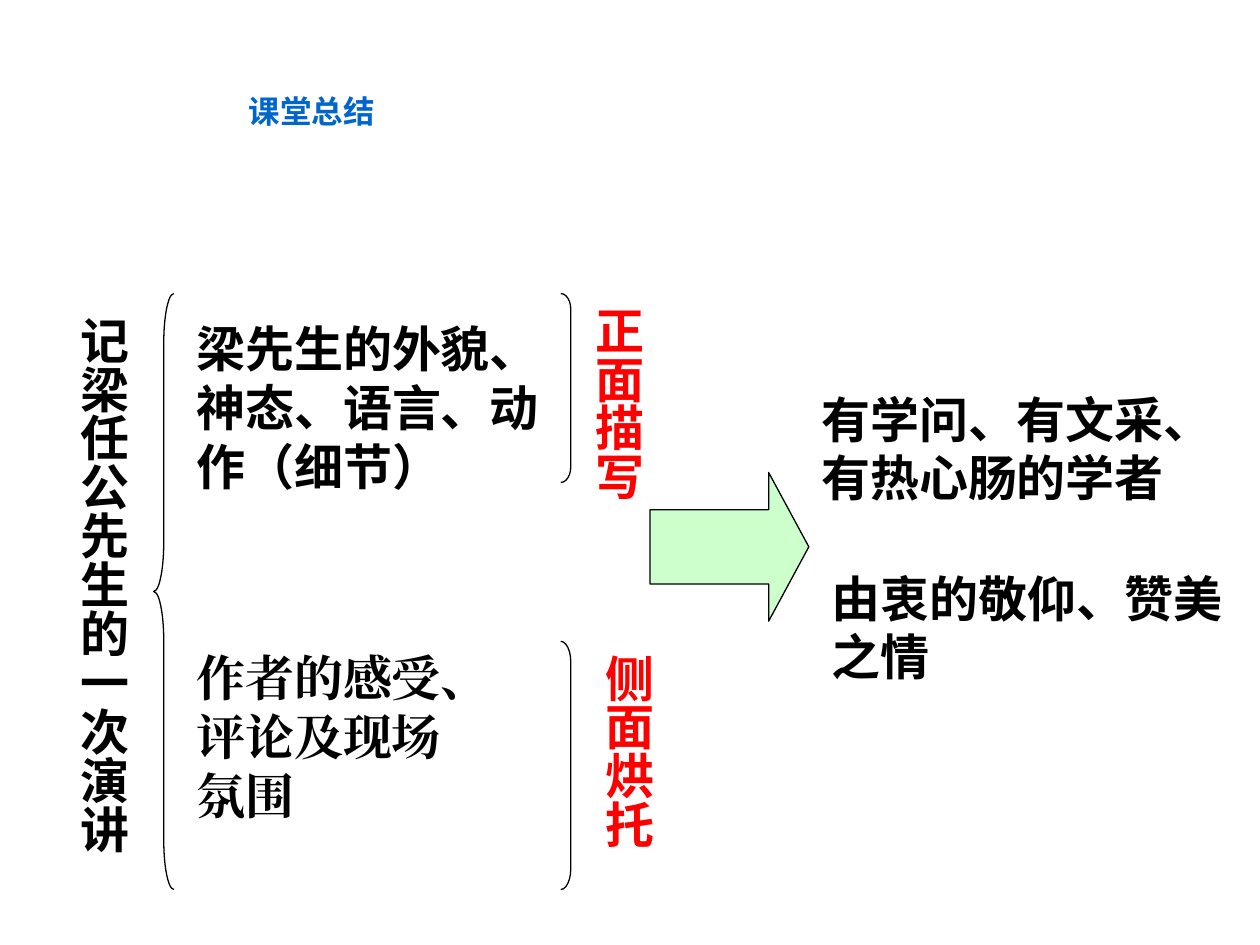
from dataclasses import dataclass

from lxml import etree
from pptx import Presentation
from pptx.dml.color import RGBColor
from pptx.enum.shapes import MSO_SHAPE
from pptx.enum.text import MSO_ANCHOR, MSO_AUTO_SIZE, PP_ALIGN
from pptx.oxml.ns import qn
from pptx.util import Inches, Pt

LEFT_BRACE = MSO_SHAPE.LEFT_BRACE
RIGHT_BRACKET = MSO_SHAPE.RIGHT_BRACKET
RIGHT_ARROW = MSO_SHAPE.RIGHT_ARROW
TOP = MSO_ANCHOR.TOP
NO_FIT = MSO_AUTO_SIZE.NONE
LEFT, CENTER = PP_ALIGN.LEFT, PP_ALIGN.CENTER


@dataclass(frozen=True)
class Theme:
    ink: str = "000000"
    title: str = "0066CC"
    accent: str = "FF0000"
    arrow: str = "CCFFCC"
    title_font: str = "Noto Sans CJK SC"
    body_font: str = "Arial"
    serif_font: str = "Times New Roman"
    title_size: int = 18
    body_size: int = 28
    line_pitch: float = 1.2
    line_width: float = 0.75


THEME = Theme()
WIDTH, HEIGHT = 10, 7.5
UPPER, LOWER, BOTTOM = 2.33, 5.09, 7.06
DETAIL_LEFT, BRACKET_LEFT = 1.46, 4.45
COLUMN_WIDTH, LABEL_HEIGHT = 0.66, 1.89
ARROW_BOX = (5.16, 3.75, 1.26, 1.18)

TITLE = ("课堂总结", (0.35, 0.68, 4.25, 1.04))
TOPIC = ("记梁任公先生的一次演讲", (0.44, 2.41, COLUMN_WIDTH, 4.57))
DETAILS = [
    ("梁先生的外貌、神态、语言、动作（细节）", (DETAIL_LEFT, 2.48, 2.99, 1.5), THEME.body_font),
    ("作者的感受、评论及现场氛围", (DETAIL_LEFT, LOWER, 2.5, 1.5), THEME.serif_font),
]
METHODS = [
    ("正面描写", (4.53, UPPER, COLUMN_WIDTH, LABEL_HEIGHT)),
    ("侧面烘托", (4.61, LOWER, COLUMN_WIDTH, LABEL_HEIGHT)),
]
CONCLUSIONS = [
    ("有学问、有文采、有热心肠的学者", (6.42, 3.04, 3.07, 1.04)),
    ("由衷的敬仰、赞美之情", (6.5, 4.46, 3.32, 1.04)),
]
CURVES = [
    (LEFT_BRACE, (1.22, UPPER, 0.16, BOTTOM - UPPER)),
    (RIGHT_BRACKET, (BRACKET_LEFT, UPPER, 0.08, 1.5)),
    (RIGHT_BRACKET, (BRACKET_LEFT, LOWER, 0.08, BOTTOM - LOWER)),
]


def place(shape, box):
    shape.left, shape.top, shape.width, shape.height = map(Inches, box)


def write(shape, text, *, font=THEME.body_font, size=THEME.body_size, color=THEME.ink,
          align=LEFT, wrap=True, vertical=False):
    frame = shape.text_frame
    frame.auto_size = NO_FIT
    frame.word_wrap = wrap
    frame.vertical_anchor = TOP
    side, edge = (0.05, 0.1) if vertical else (0.1, 0.05)
    frame.margin_left = frame.margin_right = Inches(side)
    frame.margin_top = frame.margin_bottom = Inches(edge)
    if vertical:
        frame._txBody.bodyPr.set("vert", "eaVert")
    paragraph = frame.paragraphs[0]
    paragraph.alignment = align
    paragraph.line_spacing = Pt(size * THEME.line_pitch)
    run = paragraph.add_run()
    run.text = text
    run.font.name = font
    run.font.size = Pt(size)
    run.font.bold = True
    run.font.color.rgb = RGBColor.from_string(color)
    latin = run._r.rPr.find(qn("a:latin"))
    east_asian = etree.Element(qn("a:ea"), typeface=font)
    latin.addnext(east_asian)


def add_text(slide, text, box, **style):
    write(slide.shapes.add_textbox(*map(Inches, box)), text, **style)


def add_outline(slide, kind, box, fill=None):
    shape = slide.shapes.add_shape(kind, *map(Inches, box))
    shape.shadow.inherit = False
    shape.line.color.rgb = RGBColor.from_string(THEME.ink)
    shape.line.width = Pt(THEME.line_width)
    if fill:
        shape.fill.solid()
        shape.fill.fore_color.rgb = RGBColor.from_string(fill)
    else:
        shape.fill.background()
    return shape


def main():
    presentation = Presentation()
    presentation.slide_width = Inches(WIDTH)
    presentation.slide_height = Inches(HEIGHT)
    slide = presentation.slides.add_slide(presentation.slide_layouts[5])

    text, box = TITLE
    place(slide.shapes.title, box)
    write(slide.shapes.title, text, font=THEME.title_font, size=THEME.title_size,
          color=THEME.title, align=CENTER, wrap=False)

    add_text(slide, *TOPIC, vertical=True)
    for kind, box in CURVES:
        curve = add_outline(slide, kind, box)
        curve.adjustments[0] = box[3] / 12 / box[2]
    for text, box, font in DETAILS:
        add_text(slide, text, box, font=font)
    for text, box in METHODS:
        add_text(slide, text, box, color=THEME.accent, vertical=True)

    arrow = add_outline(slide, RIGHT_ARROW, ARROW_BOX, THEME.arrow)
    arrow.adjustments[1] = 0.27
    for text, box in CONCLUSIONS:
        add_text(slide, text, box)

    presentation.save("out.pptx")


if __name__ == "__main__":
    main()
